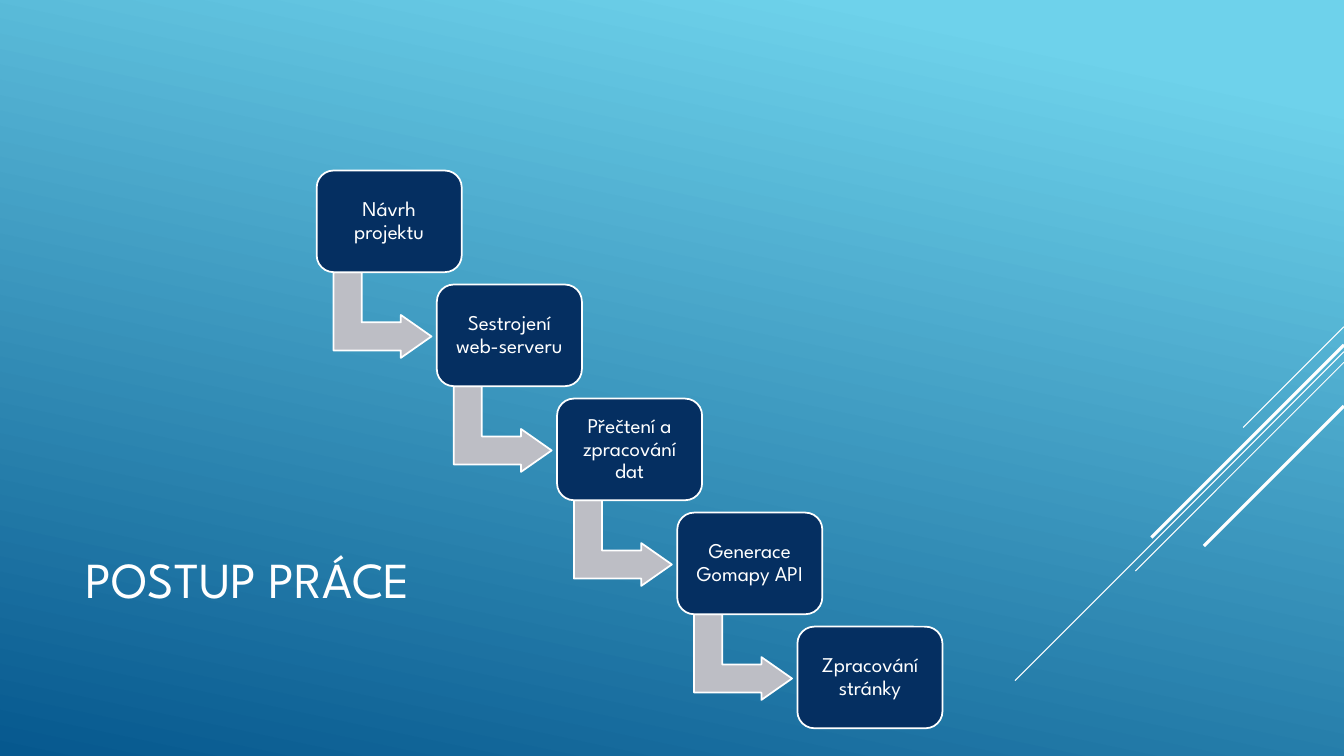
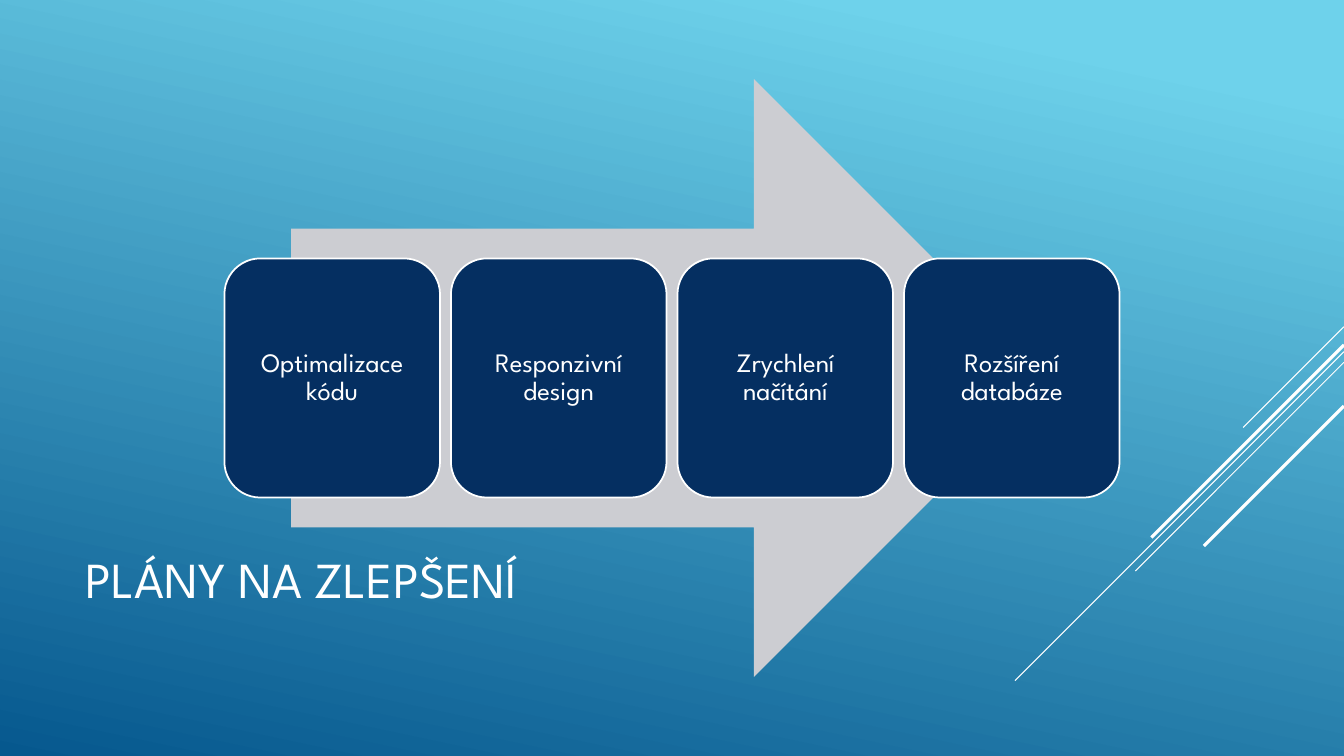
"""Build two process slides: the work steps and the improvement plans."""
from dataclasses import dataclass

from lxml.etree import SubElement
from pptx import Presentation
from pptx.dml.color import RGBColor as Rgb
from pptx.enum.shapes import MSO_CONNECTOR as Connector, MSO_SHAPE as Preset
from pptx.enum.text import MSO_ANCHOR as Anchor, PP_ALIGN as Align
from pptx.oxml.ns import qn
from pptx.util import Pt


@dataclass(frozen=True)
class Theme:
    """Colours, type sizes and line weights shared by the slides."""
    font: str = "League Spartan"
    white: Rgb = Rgb.from_string("FFFFFF")
    sky: Rgb = Rgb.from_string("6ED2EB")
    ocean: Rgb = Rgb.from_string("06588E")
    navy: Rgb = Rgb.from_string("052F61")
    bend_grey: Rgb = Rgb.from_string("BDBEC5")
    arrow_grey: Rgb = Rgb.from_string("CCCDD2")
    title_size: int = 36
    step_size: int = 15
    plan_size: int = 19
    outline: float = 1.25
    thin: float = 0.75
    thick: float = 2.25


THEME = Theme()
WIDTH, HEIGHT = 960, 540
STEPS = ["Návrh projektu", "Sestrojení web-serveru", "Přečtení a zpracování dat",
         "Generace Gomapy API", "Zpracování stránky"]
PLANS = ["Optimalizace kódu", "Responzivní design", "Zrychlení načítání",
         "Rozšíření databáze"]
DIAGONALS = [(233.4, 72, THEME.thin), (251.2, 235, THEME.thin), (258.8, 149, THEME.thin),
             (246.4, 137.5, THEME.thick), (290, 100, THEME.thick)]


def write(frame, text, size, align):
    """Write one vertically centred paragraph and return it."""
    frame.word_wrap = True
    frame.vertical_anchor = Anchor.MIDDLE
    paragraph = frame.paragraphs[0]
    paragraph.alignment = align
    run = paragraph.add_run()
    run.text = text
    run.font.name = THEME.font
    run.font.size = Pt(size)
    run.font.color.rgb = THEME.white
    return paragraph


def add_block(slide, preset, box, fill, outlined=True):
    """Add a flat filled shape at box, given as left, top, width, height."""
    block = slide.shapes.add_shape(preset, *map(Pt, box))
    block.shadow.inherit = False
    block.fill.solid()
    block.fill.fore_color.rgb = fill
    if outlined:
        block.line.color.rgb = THEME.white
        block.line.width = Pt(THEME.outline)
    else:
        block.line.fill.background()
    return block


def add_card(slide, box, label, size, inset):
    """Add a navy rounded card with a centred label."""
    frame = add_block(slide, Preset.ROUNDED_RECTANGLE, box, THEME.navy).text_frame
    frame.margin_left = frame.margin_right = Pt(inset)
    frame.margin_top = frame.margin_bottom = Pt(inset)
    write(frame, label, size, Align.CENTER).line_spacing = 0.9


def add_bend(slide, left, top):
    """Add the bent arrow that leads down and right from a step."""
    width, height = 61.2, 70
    shift = (height - width) / 2
    bend = add_block(slide, Preset.BENT_UP_ARROW,
                     (left + shift, top - shift, width, height), THEME.bend_grey)
    bend.rotation = 90
    for index, value in enumerate((0.328, 0.25, 0.358)):
        bend.adjustments[index] = value


def style_master(deck, layout, slide):
    """Give the master its gradient and diagonals and the layout its title place."""
    master = deck.slide_master
    backdrop = master.background.fill
    backdrop.gradient()
    backdrop.gradient_angle = 360 - 102
    for stop, position, colour in zip(backdrop.gradient_stops, (0.1, 1),
                                      (THEME.sky, THEME.ocean)):
        stop.position = position
        stop.color.rgb = colour
    for number, (top, reach, weight) in enumerate(DIAGONALS, start=100):
        diagonal = slide.shapes.add_connector(
            Connector.STRAIGHT, Pt(WIDTH), Pt(top), Pt(WIDTH - reach), Pt(top + reach))
        diagonal.line.color.rgb = THEME.white
        diagonal.line.width = Pt(weight)
        SubElement(diagonal.element.spPr, qn("a:effectLst"))
        diagonal.element.nvCxnSpPr.cNvPr.set("id", str(number))
        master.shapes.element.append(diagonal.element)
    heading = layout.placeholders[0]
    heading.left, heading.top, heading.width, heading.height = map(
        Pt, (54, 353.5, 672, 119))


def add_title(slide, text):
    """Fill the title placeholder."""
    write(slide.shapes.title.text_frame, text, THEME.title_size, Align.LEFT)


def build_steps(slide):
    """Draw the staircase of work steps."""
    add_title(slide, "POSTUP PRÁCE")
    width, height = 103.6, 72.6
    for index, label in enumerate(STEPS):
        left, top = 226.2 + 85.85 * index, 121.8 + 81.45 * index
        if index < len(STEPS) - 1:
            add_bend(slide, left + 12, top + height)
        add_card(slide, (left, top, width, height), label, THEME.step_size, 4.5)


def build_plans(slide):
    """Draw the row of plans over one wide arrow."""
    add_title(slide, "PLÁNY NA ZLEPŠENÍ")
    span, arrow_height, width, gap = 640, 427, 154, 7.8
    arrow_width, height = 0.85 * span, 0.4 * arrow_height
    add_block(slide, Preset.RIGHT_ARROW,
              ((WIDTH - arrow_width) / 2, (HEIGHT - arrow_height) / 2,
               arrow_width, arrow_height), THEME.arrow_grey, outlined=False)
    row_left = (WIDTH - len(PLANS) * width - (len(PLANS) - 1) * gap) / 2
    for index, label in enumerate(PLANS):
        add_card(slide, (row_left + index * (width + gap), (HEIGHT - height) / 2,
                         width, height), label, THEME.plan_size, 5.7)


def main():
    """Build and save the presentation."""
    deck = Presentation()
    deck.slide_width, deck.slide_height = Pt(WIDTH), Pt(HEIGHT)
    layout = deck.slide_layouts.get_by_name("Title Only")
    steps, plans = (deck.slides.add_slide(layout) for _ in range(2))
    style_master(deck, layout, steps)
    build_steps(steps)
    build_plans(plans)
    deck.save("out.pptx")


if __name__ == "__main__":
    main()
